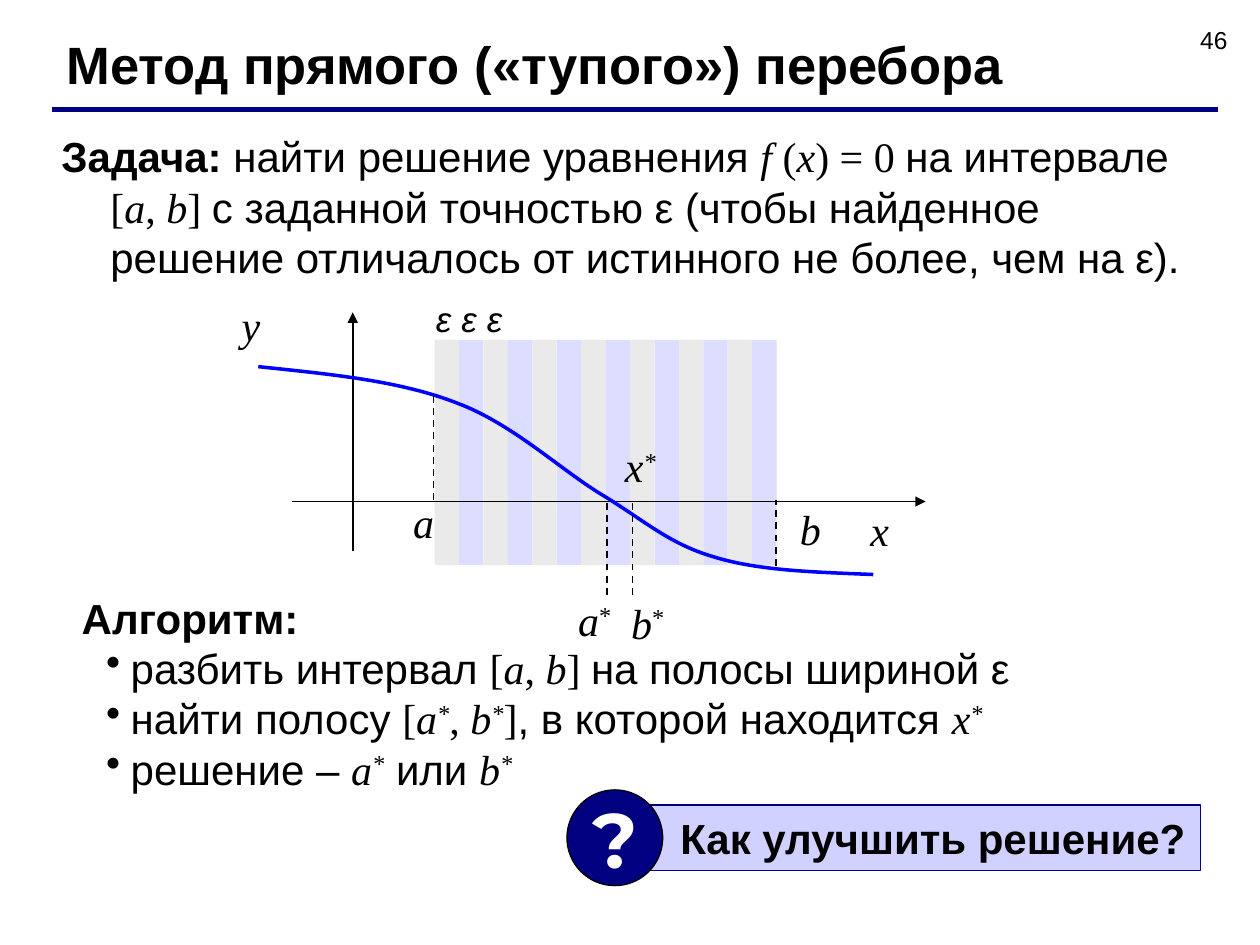
from lxml import etree
from pptx import Presentation
from pptx.dml.color import RGBColor
from pptx.enum.dml import MSO_LINE
from pptx.enum.shapes import MSO_CONNECTOR, MSO_SHAPE
from pptx.enum.text import MSO_ANCHOR, PP_ALIGN
from pptx.oxml.ns import qn
from pptx.util import Pt

STRAIGHT = MSO_CONNECTOR.STRAIGHT
RECTANGLE, OVAL = MSO_SHAPE.RECTANGLE, MSO_SHAPE.OVAL
DASH = MSO_LINE.DASH
MIDDLE = MSO_ANCHOR.MIDDLE
LEFT, CENTER, RIGHT = PP_ALIGN.LEFT, PP_ALIGN.CENTER, PP_ALIGN.RIGHT

COLORS = {
    "black": "000000", "white": "FFFFFF", "navy": "000080", "curve": "0000FF",
    "gray strip": "EAEAEA", "blue strip": "DDDDFF", "callout": "D1D1FF",
}
SANS, SERIF, MARK = "Arial", "Times New Roman", "Montserrat"
# Run styles: font, bold, italic, superscript
STYLES = {
    "text": (SANS, False, False, False),
    "bold": (SANS, True, False, False),
    "slant": (SANS, False, True, False),
    "math": (SERIF, False, False, False),
    "var": (SERIF, False, True, False),
    "star": (SERIF, False, True, True),
    "upright star": (SERIF, False, False, True),
    "mark": (MARK, True, False, False),
}


def rgb(name):
    return RGBColor.from_string(COLORS[name])


def write(paragraph, runs, size=24, color="black", align=LEFT):
    paragraph.alignment = align
    for text, style in runs:
        run = paragraph.add_run()
        run.text = text
        font = run.font
        font.name, font.bold, font.italic, raised = STYLES[style]
        font.size = Pt(size)
        font.color.rgb = rgb(color)
        if raised:
            run._r.get_or_add_rPr().set("baseline", "30000")


def add_text(slide, box, runs, wrap=True, **options):
    shape = slide.shapes.add_textbox(*(Pt(value) for value in box))
    shape.text_frame.word_wrap = wrap
    write(shape.text_frame.paragraphs[0], runs, **options)
    return shape.text_frame


def add_line(slide, start, end, color="black", width=1, dash=None, arrow=False):
    line = slide.shapes.add_connector(
        STRAIGHT, *(Pt(value) for value in (*start, *end)))
    line.line.color.rgb = rgb(color)
    line.line.width = Pt(width)
    if dash:
        line.line.dash_style = dash
    if arrow:
        etree.SubElement(line.line._get_or_add_ln(), qn("a:tailEnd"), type="triangle")
    etree.SubElement(line._element.spPr, qn("a:effectLst"))


def add_block(slide, kind, box, fill, outline=None, width=1):
    shape = slide.shapes.add_shape(kind, *(Pt(value) for value in box))
    shape.shadow.inherit = False
    shape.fill.solid()
    shape.fill.fore_color.rgb = rgb(fill)
    if outline:
        shape.line.color.rgb = rgb(outline)
        shape.line.width = Pt(width)
    else:
        shape.line.fill.background()
    return shape


def set_hanging(paragraph, left, hanging, bullet=None):
    properties = paragraph._p.get_or_add_pPr()
    properties.set("marL", str(Pt(left)))
    properties.set("indent", str(-Pt(hanging)))
    if bullet:
        etree.SubElement(properties, qn("a:buChar"), char=bullet)


def add_curve(slide, points, color, width):
    """Draw cubic segments: a start point, then three points for each segment."""
    builder = slide.shapes.build_freeform(*(Pt(value) for value in points[0]))
    builder.add_line_segments(
        [(Pt(x), Pt(y)) for x, y in points[1:]], close=False)
    shape = builder.convert_to_shape()
    lines = list(shape._element.iter(qn("a:lnTo")))
    for index in range(0, len(lines), 3):
        segment = etree.Element(qn("a:cubicBezTo"))
        lines[index].addprevious(segment)
        for line in lines[index:index + 3]:
            segment.append(line[0])
            line.getparent().remove(line)
    shape.shadow.inherit = False
    shape.fill.background()
    shape.line.color.rgb = rgb(color)
    shape.line.width = Pt(width)


def add_header(slide, left, top, width):
    add_text(slide, (left + 511, top - 4, 168, 37), [("46", "text")],
             size=14, align=RIGHT)
    add_line(slide, (left, top + 47.6), (left + width, top + 47.6), "navy", 3)
    add_text(slide, (left + 1.5, top, 641, 43),
             [("Метод прямого («тупого») перебора", "bold")], size=30)


def add_task(slide, box):
    frame = add_text(slide, box, [
        ("Задача: ", "bold"), ("найти решение уравнения ", "text"),
        ("f ", "var"), ("(", "math"), ("x", "var"), (") = 0 ", "math"),
        ("на интервале ", "text"), ("[", "math"), ("a", "var"), (", ", "math"),
        ("b", "var"), ("] ", "math"),
        ("с заданной точностью ε (чтобы найденное решение отличалось "
         "от истинного не более, чем на ε).", "text")])
    set_hanging(frame.paragraphs[0], 28, 28)


def add_graph(slide, left, top):
    def at(x, y):
        return left + x, top + y

    # Strips of width ε
    first, pitch, count = 117.4, 13.96, 14
    for index in range(count):
        fill = "blue strip" if index % 2 else "gray strip"
        add_block(slide, RECTANGLE, (*at(first + index * pitch, 28), pitch, 128.7), fill)
    for index in range(3):
        add_text(slide, (*at(111 + index * 14.6, 0), 28, 32), [("ε", "slant")], size=20)

    # Axes
    add_line(slide, at(36, 120.3), at(398, 120.3), arrow=True)
    add_line(slide, at(70.6, 148.3), at(70.6, 12.2), arrow=True)

    # Curve of f(x)
    add_curve(slide, [at(x, y) for x, y in (
        (16.6, 43.2), (57, 47.5), (97.2, 51.1), (130.4, 64.1),
        (162.8, 76.3), (190.1, 103), (214.6, 117.4),
        (239, 132.5), (252, 144.7), (277.2, 152),
        (303.2, 160), (335.6, 160.6), (368, 162))], "curve", 2)

    # Ends of the interval and of the strip with the root
    for x, start, end in ((116.7, 119.5, 59.8), (312.5, 157, 119.5),
                          (216, 121, 174.3), (230.4, 121, 174.3)):
        add_line(slide, at(x, start), at(x, end), dash=DASH)

    # Labels: starred ones need room for the superscript on the same line
    for name, star, x, y in (
            ("x", None, 359.3, 118.3), ("y", None, 0, 1.5),
            ("x", "star", 219, 82), ("a", None, 98, 113.8),
            ("b", None, 319, 117.8), ("b", "upright star", 222.5, 171.5),
            ("a", "upright star", 192.3, 170)):
        runs = [(name, "var")] + ([("*", star)] if star else [])
        add_text(slide, (*at(x, y), 38 if star else 26, 36), runs)


def add_algorithm(slide, box):
    frame = add_text(slide, box, [("Алгоритм:", "bold")])
    steps = (
        [("разбить интервал ", "text"), ("[", "math"), ("a", "var"),
         (", ", "math"), ("b", "var"), ("] ", "math"),
         ("на полосы шириной ε", "text")],
        [("найти полосу ", "text"), ("[", "math"), ("a", "var"), ("*", "star"),
         (", ", "math"), ("b", "var"), ("*", "star"), ("]", "math"),
         (", в которой находится ", "text"), ("x", "var"), ("*", "star")],
        [("решение – ", "text"), ("a", "var"), ("*", "star"),
         (" или ", "text"), ("b", "var"), ("*", "star")],
    )
    for runs in steps:
        paragraph = frame.add_paragraph()
        set_hanging(paragraph, 28, 14, "•")
        write(paragraph, runs)


def add_question(slide, left, top):
    panel = add_block(slide, RECTANGLE, (left + 40.3, top + 8.6, 321.8, 37.4),
                      "callout", "navy")
    frame = panel.text_frame
    frame.margin_left = Pt(24.5)
    frame.margin_right = 0
    frame.vertical_anchor = MIDDLE
    write(frame.paragraphs[0], [("Как улучшить решение?", "bold")])

    badge = add_block(slide, OVAL, (left, top, 54.7, 54.7), "navy", "black", 0.75)
    badge.text_frame.word_wrap = False
    badge.text_frame.vertical_anchor = MIDDLE
    write(badge.text_frame.paragraphs[0], [("?", "mark")], 44, "white", CENTER)


def main():
    presentation = Presentation()
    presentation.slide_width, presentation.slide_height = Pt(720), Pt(540)
    slide = presentation.slides.add_slide(presentation.slide_layouts[6])
    add_header(slide, 29.5, 15, 666.7)
    add_task(slide, (28, 71.3, 666, 94))
    add_graph(slide, 131, 166.3)
    add_algorithm(slide, (39.6, 334.8, 666, 122.4))
    add_question(slide, 324, 451.4)
    presentation.save("out.pptx")


if __name__ == "__main__":
    main()
